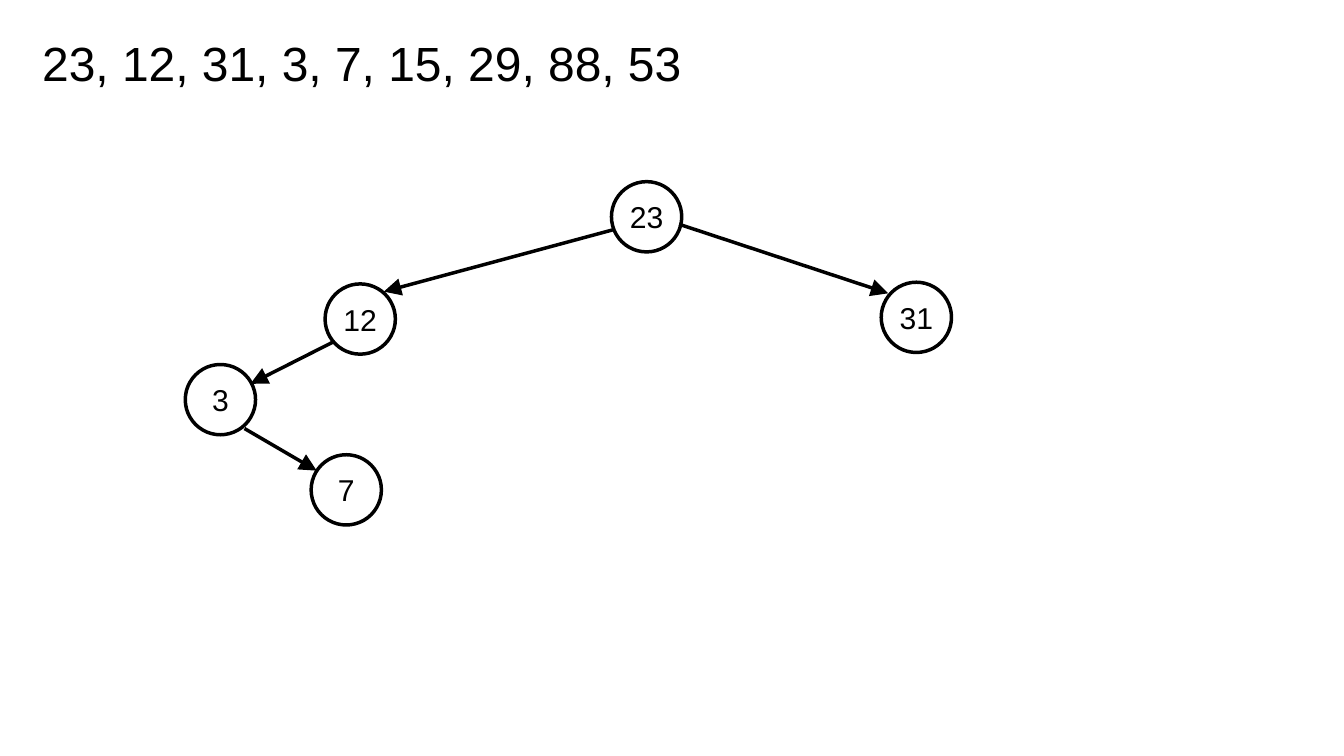
"""Draw a binary search tree below the keys that fill it."""
from dataclasses import dataclass

from lxml import etree
from pptx import Presentation
from pptx.dml.color import RGBColor
from pptx.enum.shapes import MSO_CONNECTOR, MSO_SHAPE
from pptx.enum.text import MSO_ANCHOR, MSO_AUTO_SIZE, PP_ALIGN
from pptx.oxml.ns import qn
from pptx.slide import Slide
from pptx.text.text import TextFrame
from pptx.util import Cm, Pt

OVAL = MSO_SHAPE.OVAL
STRAIGHT = MSO_CONNECTOR.STRAIGHT
TOP, MIDDLE = MSO_ANCHOR.TOP, MSO_ANCHOR.MIDDLE
LEFT, CENTER = PP_ALIGN.LEFT, PP_ALIGN.CENTER
FIXED = MSO_AUTO_SIZE.NONE

BLACK = RGBColor(0x00, 0x00, 0x00)
FONT = "Arial"
STROKE = Pt(4.12)
SIZE = Cm(2.92)
KEYS = "23, 12, 31, 3, 7, 15, 29, 88, 53"


@dataclass
class Node:
    key: int
    left: float
    top: float


@dataclass
class Edge:
    x1: float
    y1: float
    x2: float
    y2: float


NODES = [
    Node(23, 25.41, 7.55),
    Node(12, 13.51, 11.8),
    Node(31, 36.62, 11.73),
    Node(3, 7.7, 15.15),
    Node(7, 12.93, 18.9),
]
EDGES = [
    Edge(25.55, 9.53, 15.95, 12.12),
    Edge(28.22, 9.32, 36.91, 12.19),
    Edge(13.87, 14.2, 10.41, 15.95),
    Edge(10.16, 17.81, 13.16, 19.56),
]


def write(frame: TextFrame, text: str, size: float, align: PP_ALIGN,
          anchor: MSO_ANCHOR) -> None:
    frame.text = text
    frame.auto_size = FIXED
    frame.vertical_anchor = anchor
    frame.margin_left = frame.margin_right = 0
    frame.margin_top = frame.margin_bottom = 0
    line = frame.paragraphs[0]
    line.alignment = align
    font = line.runs[0].font
    font.name, font.size = FONT, Pt(size)
    font.color.rgb = BLACK


def add_title(slide: Slide) -> None:
    title = slide.shapes.title
    title.left, title.top = Cm(1.75), Cm(1.12)
    title.width, title.height = Cm(26.85), Cm(2.49)
    write(title.text_frame, KEYS, 56.5, LEFT, TOP)
    title.text_frame.margin_top = Cm(0.28)


def add_node(slide: Slide, node: Node) -> None:
    disc = slide.shapes.add_shape(
        OVAL, Cm(node.left), Cm(node.top), SIZE, SIZE)
    disc.shadow.inherit = False
    disc.fill.background()
    disc.line.color.rgb = BLACK
    disc.line.width = STROKE
    write(disc.text_frame, str(node.key), 35.5, CENTER, MIDDLE)
    disc.text_frame.word_wrap = False


def add_edge(slide: Slide, edge: Edge) -> None:
    arrow = slide.shapes.add_connector(
        STRAIGHT, Cm(edge.x1), Cm(edge.y1), Cm(edge.x2), Cm(edge.y2))
    arrow.line.color.rgb = BLACK
    arrow.line.width = STROKE
    props = arrow.line._get_or_add_ln()
    etree.SubElement(props, qn("a:tailEnd"), type="triangle", w="lg", len="lg")
    etree.SubElement(arrow._element.spPr, qn("a:effectLst"))


def main() -> None:
    deck = Presentation()
    deck.slide_width, deck.slide_height = Cm(55.85), Cm(31.42)
    slide = deck.slides.add_slide(deck.slide_layouts[5])
    add_title(slide)
    for node in NODES:
        add_node(slide, node)
    for edge in EDGES:
        add_edge(slide, edge)
    deck.save("out.pptx")


if __name__ == "__main__":
    main()
